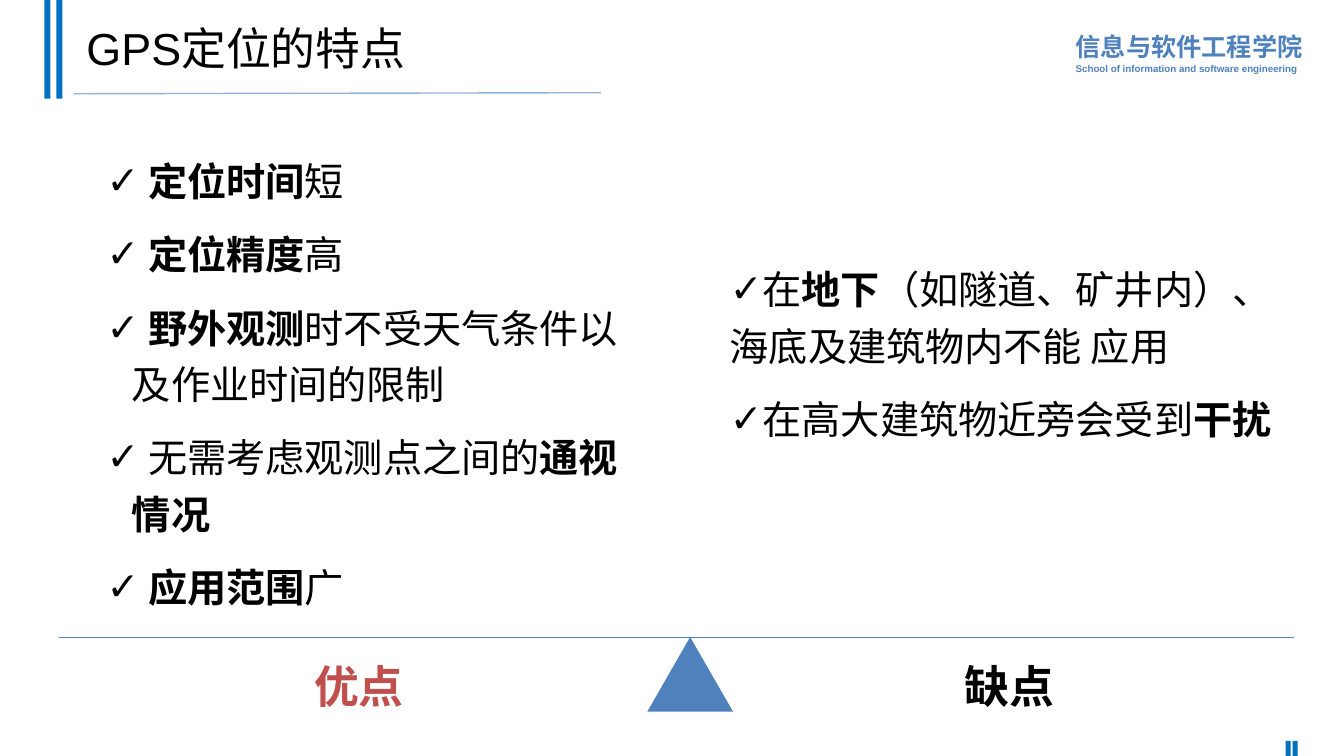
from pptx import Presentation
from pptx.dml.color import RGBColor
from pptx.enum.shapes import MSO_CONNECTOR as Connector, MSO_SHAPE as Preset
from pptx.enum.text import MSO_ANCHOR as Anchor, PP_ALIGN as Align
from pptx.oxml.ns import qn
from pptx.util import Inches, Pt
from lxml.etree import SubElement

COLORS = {
    "black": "000000", "bar": "0070C0", "accent": "4F81BD",
    "pale": "95B3D7", "red": "C0504D",
}
ADVANTAGES = [
    [" ", "*定位时间", "短"],
    [" ", "*定位精度", "高"],
    [" ", "*野外观测", "时不受天气条件以及作业时间的限制"],
    [" 无需考虑观测点之间的", "*通视情况"],
    [" ", "*应用范围", "广"],
]
DRAWBACKS = [
    ["在", "*地下", "（如隧道、矿井内）、海底及建筑物内不能 应用"],
    ["在高大建筑物近旁会受到", "*干扰"],
]


class SlideBuilder:
    """Draws styled elements on the current slide."""

    latin = "Arial"
    east_asian = "Noto Sans CJK SC"

    def __init__(self, slide):
        self.slide = slide

    def color(self, name):
        return RGBColor.from_string(COLORS[name])

    def shape(self, preset, left, top, width, height, color):
        shape = self.slide.shapes.add_shape(
            preset, Inches(left), Inches(top), Inches(width), Inches(height))
        shape.shadow.inherit = False
        shape.fill.solid()
        shape.fill.fore_color.rgb = self.color(color)
        shape.line.fill.background()

    def line(self, start, end, color, width):
        points = [Inches(value) for value in (*start, *end)]
        connector = self.slide.shapes.add_connector(Connector.STRAIGHT, *points)
        connector.line.color.rgb = self.color(color)
        connector.line.width = Pt(width)
        SubElement(connector._element.spPr, qn("a:effectLst"))

    def text_box(self, left, top, width, height, anchor=Anchor.TOP):
        box = self.slide.shapes.add_textbox(
            Inches(left), Inches(top), Inches(width), Inches(height))
        box.text_frame.word_wrap = True
        box.text_frame.vertical_anchor = anchor
        return box.text_frame

    def paragraph(self, frame, *, first=True, spacing=None, before=None,
                  align=None, indent=None):
        paragraph = frame.paragraphs[0] if first else frame.add_paragraph()
        if indent is not None:
            properties = paragraph._p.get_or_add_pPr()
            properties.set("marL", str(Inches(indent)))
            properties.set("indent", str(-Inches(indent)))
            SubElement(properties, qn("a:buFont"), typeface=self.latin)
            SubElement(properties, qn("a:buChar"), char="✓")
        paragraph.line_spacing = spacing
        paragraph.space_before = before
        paragraph.alignment = align
        return paragraph

    def run(self, paragraph, text, *, size, color="black", bold=False, font=None):
        run = paragraph.add_run()
        run.text = text
        run.font.size = Pt(size)
        run.font.bold = bold
        run.font.color.rgb = self.color(color)
        run.font.name = font or self.latin
        SubElement(run._r.get_or_add_rPr(), qn("a:ea"), typeface=self.east_asian)

    def check_list(self, items, left, top, width, height, indent):
        frame = self.text_box(left, top, width, height)
        for index, pieces in enumerate(items):
            paragraph = self.paragraph(
                frame, first=index == 0, spacing=1.2, indent=indent,
                before=Pt(12) if index else None)
            for piece in pieces:
                self.run(paragraph, piece.lstrip("*"), size=28,
                         bold=piece.startswith("*"))

    def caption(self, text, left, color):
        frame = self.text_box(left, 6.49, 1.32, 0.64)
        paragraph = self.paragraph(frame, align=Align.CENTER)
        self.run(paragraph, text, size=32, color=color, bold=True,
                 font=self.east_asian)

    def header(self, title):
        school = self.text_box(10.57, 0.23, 2.45, 0.56)
        lines = [("信息与软件工程学院", 18),
                 ("School of information and software engineering", 7)]
        for index, (text, size) in enumerate(lines):
            paragraph = self.paragraph(school, first=index == 0, spacing=1.1)
            self.run(paragraph, text, size=size, color="accent", bold=True)
        for left in (0.44, 0.56):
            self.shape(Preset.RECTANGLE, left, 0, 0.06, 0.98, "bar")
        for left in (12.75, 12.82):
            self.shape(Preset.RECTANGLE, left, 7.35, 0.05, 0.15, "bar")
        self.line((0.73, 0.93), (5.96, 0.92), "pale", 1)
        frame = self.text_box(0.76, 0.07, 11.5, 0.88, Anchor.MIDDLE)
        self.run(self.paragraph(frame, spacing=0.9), title, size=32)


def main():
    presentation = Presentation()
    presentation.slide_width = Inches(13.33)
    presentation.slide_height = Inches(7.5)
    builder = SlideBuilder(
        presentation.slides.add_slide(presentation.slide_layouts[6]))
    builder.header("GPS定位的特点")
    builder.check_list(ADVANTAGES, 0.96, 1.42, 5.32, 4.85, 0.25)
    builder.check_list(DRAWBACKS, 7.14, 2.49, 5.86, 2.7, 0)
    builder.line((0.59, 6.32), (12.83, 6.32), "accent", 0.5)
    builder.shape(Preset.ISOSCELES_TRIANGLE, 6.42, 6.32, 0.85, 0.74, "accent")
    builder.caption("缺点", 9.35, "black")
    builder.caption("优点", 2.9, "red")
    presentation.save("out.pptx")


if __name__ == "__main__":
    main()
